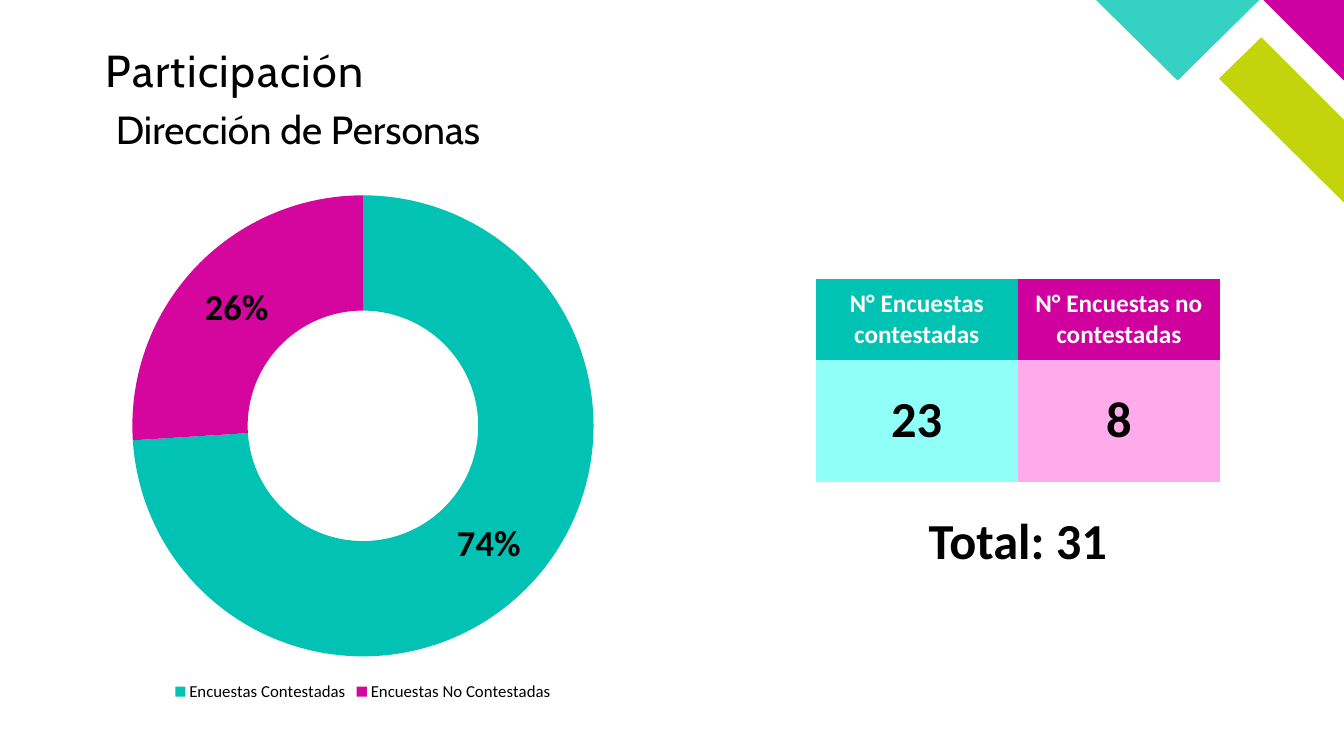
from pptx import Presentation
from pptx.chart.data import CategoryChartData
from pptx.dml.color import RGBColor
from pptx.enum.chart import XL_CHART_TYPE, XL_LEGEND_POSITION
from pptx.enum.text import MSO_ANCHOR, PP_ALIGN
from pptx.oxml.ns import qn
from pptx.util import Inches, Pt

W, H = 13.33, 7.5
MARGIN = 1.05
TITLE, SUBTITLE, TOTAL = "Participación", "Dirección de Personas", "Total: 31"
CORNER = [
    ("C4D40A", [(W, 2.01), (W, 1.19), (12.51, 0.37), (12.09, 0.78)]),
    ("CE009F", [(W, 0.8), (W, 0), (12.53, 0)]),
    ("35D2C4", [(10.87, 0), (11.68, 0.8), (12.49, 0)]),
]
SHARES = [
    ("Encuestas Contestadas", 0.74, "01C2B3"),
    ("Encuestas No Contestadas", 0.26, "D4069D"),
]
COUNTS = [
    ("N° Encuestas contestadas", "23", "00C3B3", "8FFFF7"),
    ("N° Encuestas no contestadas", "8", "D0009E", "FFABEB"),
]
TABLE_X, TABLE_Y, COL_W, ROWS = 8.09, 2.77, 2.005, (0.8, 1.21)
PLAIN_TABLE = "{2D5ABB26-0587-4C30-8999-92F81FD0307C}"
FIGURE = dict(anchor=MSO_ANCHOR.MIDDLE, align=PP_ALIGN.CENTER, size=36, bold=True)


def rgb(value):
    """Turn a hex string into a colour."""
    return RGBColor.from_string(value)


def paint(fill, value):
    """Give a fill one solid colour."""
    fill.solid()
    fill.fore_color.rgb = rgb(value)


def style(font, size, name="Calibri", color="000000", bold=False):
    """Set the look of a font."""
    font.size, font.name, font.bold = Pt(size), name, bold
    font.color.rgb = rgb(color)


def write(tf, text, align=PP_ALIGN.LEFT, line=0.9, spacing=None, **look):
    """Write one formatted paragraph into a text frame."""
    tf.word_wrap = True
    p = tf.paragraphs[0]
    p.alignment, p.line_spacing = align, line
    r = p.add_run()
    r.text = text
    style(r.font, **look)
    if spacing:
        r.font._element.set("spc", str(spacing))


def box(slide, x, y, w, h, text, anchor=MSO_ANCHOR.TOP, **look):
    """Add a text box."""
    tf = slide.shapes.add_textbox(Inches(x), Inches(y), Inches(w), Inches(h)).text_frame
    tf.vertical_anchor = anchor
    write(tf, text, **look)


def add_corner(slide):
    """Draw the coloured pieces in the top right corner."""
    for color, points in CORNER:
        corners = [(Inches(x), Inches(y)) for x, y in points]
        outline = slide.shapes.build_freeform(*corners[0])
        outline.add_line_segments(corners[1:], close=True)
        sp = outline.convert_to_shape()
        sp.shadow.inherit = False
        paint(sp.fill, color)
        sp.line.fill.background()


def add_title(slide):
    """Place and fill the title placeholder."""
    sp = slide.shapes.title
    sp.left, sp.top, sp.width, sp.height = map(Inches, (MARGIN, 0.48, 5.61, 0.67))
    tf = sp.text_frame
    tf.margin_left = tf.margin_right = tf.margin_top = tf.margin_bottom = 0
    tf.vertical_anchor = MSO_ANCHOR.TOP
    write(tf, TITLE, size=32, name="Cabin", spacing=100)


def add_counts(slide):
    """Add the table of surveys with its figures and the total."""
    table = slide.shapes.add_table(
        2, len(COUNTS), Inches(TABLE_X), Inches(TABLE_Y),
        Inches(COL_W * len(COUNTS)), Inches(sum(ROWS))).table
    table._tbl.tblPr.find(qn("a:tableStyleId")).text = PLAIN_TABLE
    for row, height in zip(table.rows, ROWS):
        row.height = Inches(height)
    for c, (head, count, dark, light) in enumerate(COUNTS):
        table.columns[c].width = Inches(COL_W)
        cell = table.cell(0, c)
        cell.vertical_anchor = MSO_ANCHOR.MIDDLE
        write(cell.text_frame, head, align=PP_ALIGN.CENTER, line=1.0,
              size=18, color="FFFFFF", bold=True)
        paint(cell.fill, dark)
        paint(table.cell(1, c).fill, light)
        box(slide, TABLE_X + c * COL_W, TABLE_Y + ROWS[0], COL_W, ROWS[1], count, **FIGURE)
    box(slide, TABLE_X, TABLE_Y + sum(ROWS), COL_W * len(COUNTS), ROWS[1], TOTAL, **FIGURE)


def add_doughnut(slide):
    """Add the doughnut chart of participation."""
    data = CategoryChartData(number_format="0%")
    data.categories = [name for name, _, _ in SHARES]
    data.add_series("Series 1", [value for _, value, _ in SHARES])
    chart = slide.shapes.add_chart(
        XL_CHART_TYPE.DOUGHNUT, Inches(1), Inches(1.8), Inches(5.2), Inches(5.2), data).chart
    style(chart.font, 18)
    chart.has_title = False
    chart.has_legend = True
    chart.legend.position = XL_LEGEND_POSITION.BOTTOM
    chart.legend.include_in_layout = False
    style(chart.legend.font, 12)
    plot = chart.plots[0]
    plot.vary_by_categories = True
    for i, (_, _, color) in enumerate(SHARES):
        point = plot.series[0].points[i].format
        paint(point.fill, color)
        point.line.fill.background()
    labels = plot.series[0].data_labels
    labels.show_value = True
    labels.show_percentage = False
    labels.number_format, labels.number_format_is_linked = "0%", False
    style(labels.font, 26, bold=True)


def main():
    """Build the slide and save it."""
    prs = Presentation()
    prs.slide_width, prs.slide_height = Inches(W), Inches(H)
    slide = prs.slides.add_slide(prs.slide_layouts[5])
    add_corner(slide)
    add_title(slide)
    box(slide, MARGIN, 1.05, 9.78, 0.96, SUBTITLE, size=28, name="Cabin")
    add_doughnut(slide)
    add_counts(slide)
    prs.save("out.pptx")


if __name__ == "__main__":
    main()
